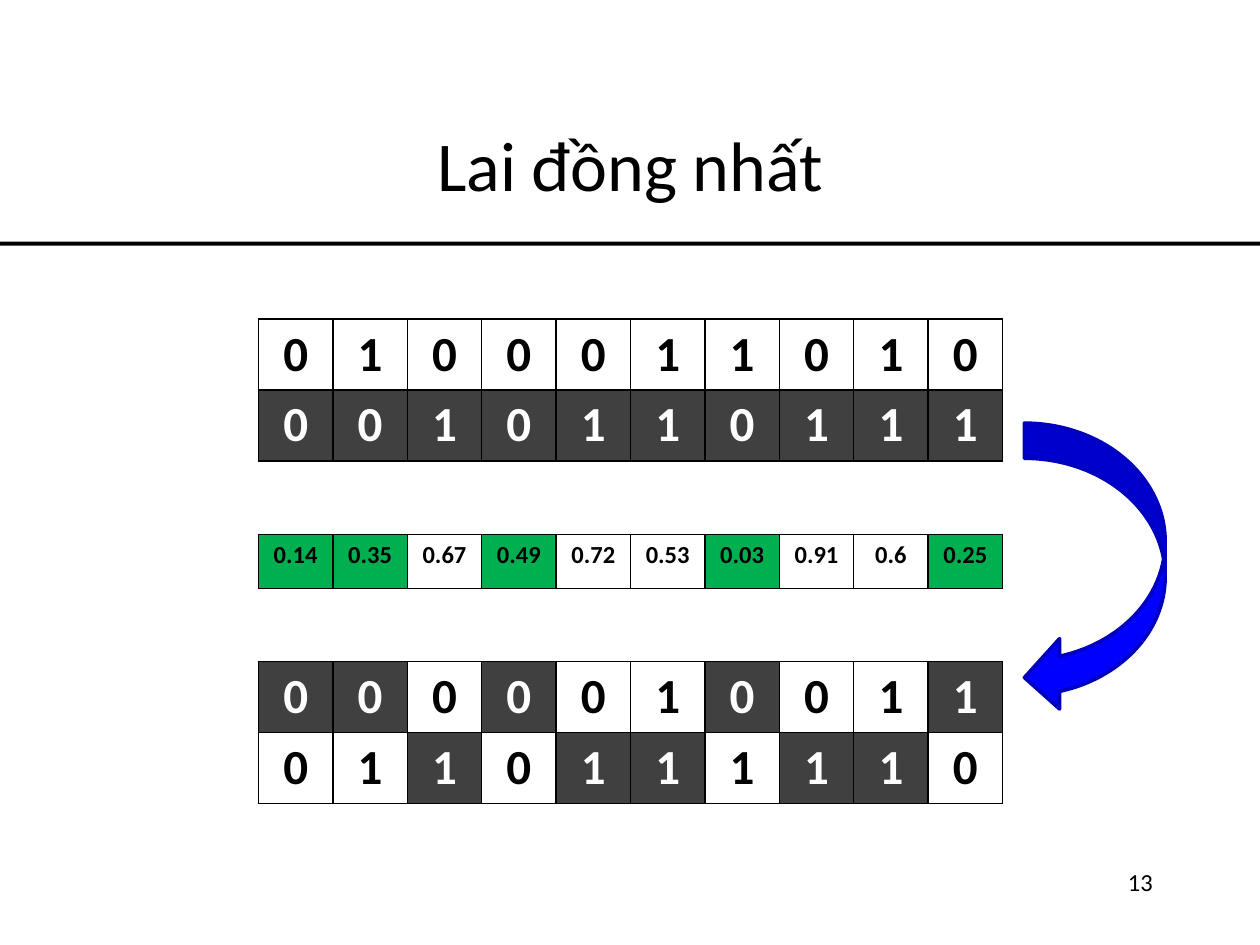
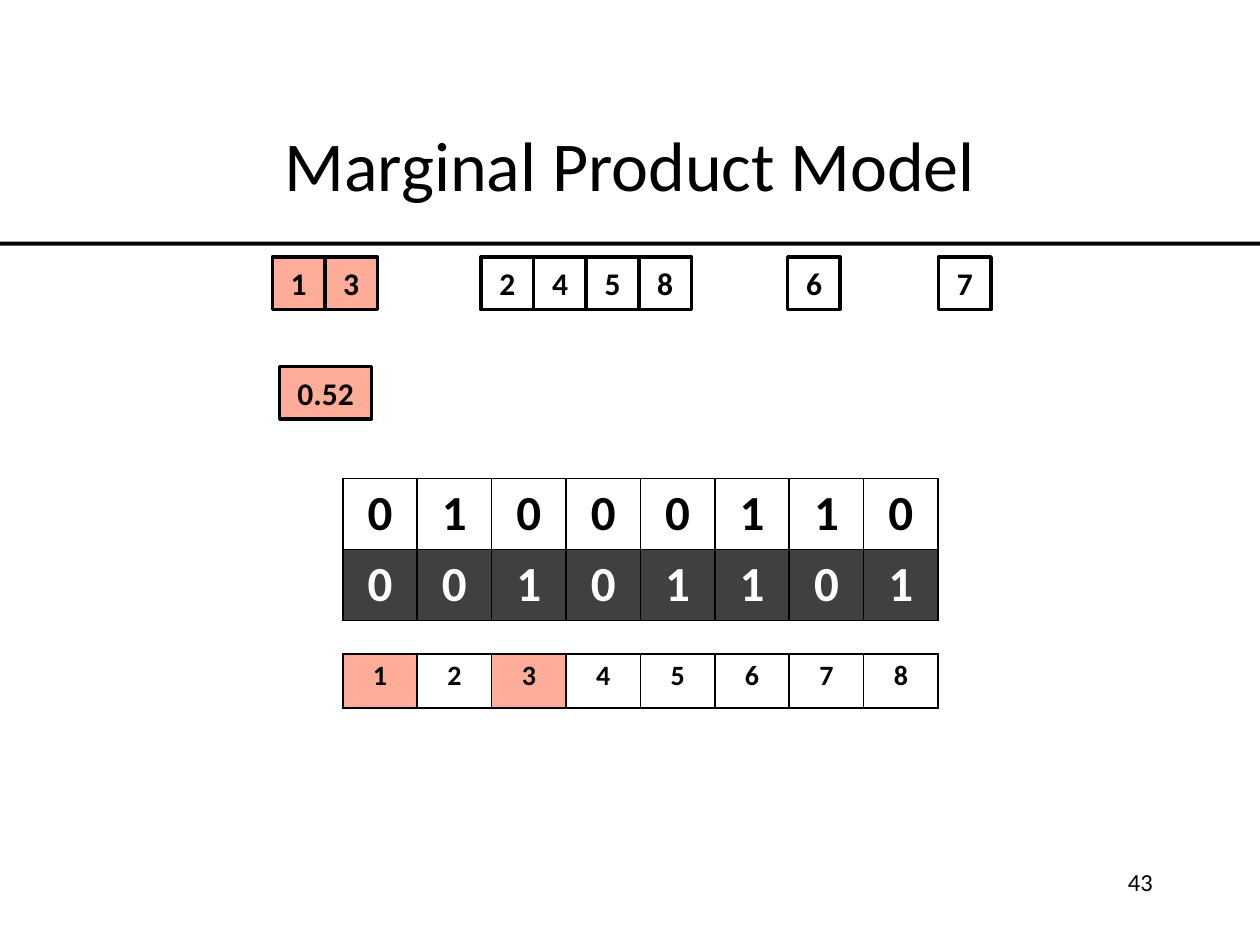
from lxml.etree import SubElement
from pptx import Presentation
from pptx.dml.color import RGBColor
from pptx.enum.shapes import MSO_SHAPE
from pptx.enum.text import MSO_ANCHOR, PP_ALIGN
from pptx.oxml.ns import qn
from pptx.util import Cm, Pt

COLORS = {
    "black": "000000",
    "white": "FFFFFF",
    "dark": "404040",
    "green": "00B050",
    "salmon": "FFAD99",
    "blue": "0000FF",
    "navy": "0000BD",
}
FONT = "Calibri"
GENE_WIDTH = 1.5
BIT_HEIGHT = 1.43
LABEL_HEIGHT = 1.09
SQUARE = 1.06


def rgb(name):
    return RGBColor.from_string(COLORS[name])


def paint(fill, color):
    """Fill with a named colour, or leave empty for None."""
    if color is None:
        fill.background()
    else:
        fill.solid()
        fill.fore_color.rgb = rgb(color)


def write(frame, text, size=18, color="black", bold=False,
          align=PP_ALIGN.CENTER, anchor=None):
    frame.word_wrap = True
    if anchor is not None:
        frame.vertical_anchor = anchor
    paragraph = frame.paragraphs[0]
    paragraph.alignment = align
    run = paragraph.add_run()
    run.text = text
    run.font.name = FONT
    run.font.size = Pt(size)
    run.font.bold = bold
    run.font.color.rgb = rgb(color)


class Deck:
    """Shared style and the slide being built."""

    def __init__(self):
        self.presentation = Presentation()
        self.presentation.slide_width = Cm(25.4)
        self.presentation.slide_height = Cm(19.05)
        self.slide = None

    def start_slide(self, title, number):
        blank = self.presentation.slide_layouts[6]
        self.slide = self.presentation.slides.add_slide(blank)
        # Rule below the title
        rule = self.shape(MSO_SHAPE.PENTAGON, -1.5, 4.87, 26.9, 0.08, "black")
        rule.rotation = 180
        rule.adjustments[0] = 0.06
        # Title and slide number
        self.text(title, 1.9, 1.7, 21.6, 3.18, size=40, anchor=MSO_ANCHOR.MIDDLE)
        self.text(str(number), 18.21, 17.35, 5.28, 1.27, size=14,
                  align=PP_ALIGN.RIGHT)

    def text(self, text, left, top, width, height, **style):
        box = self.slide.shapes.add_textbox(Cm(left), Cm(top), Cm(width), Cm(height))
        write(box.text_frame, text, **style)

    def shape(self, kind, left, top, width, height, fill=None, line=None):
        shape = self.slide.shapes.add_shape(
            kind, Cm(left), Cm(top), Cm(width), Cm(height))
        shape.shadow.inherit = False
        paint(shape.fill, fill)
        paint(shape.line.fill, line)
        if line:
            shape.line.width = Pt(2)
        return shape

    def square(self, text, left, top, width=SQUARE, fill=None):
        square = self.shape(MSO_SHAPE.RECTANGLE, left, top, width, SQUARE,
                            fill, "black")
        frame = square.text_frame
        frame.margin_left = frame.margin_right = 0
        write(frame, text, bold=True, anchor=MSO_ANCHOR.MIDDLE)

    def gene_table(self, rows, left, top, row_height, size):
        """Each row is a list of (text, fill) pairs."""
        columns = len(rows[0])
        table = self.slide.shapes.add_table(
            len(rows), columns, Cm(left), Cm(top),
            Cm(columns * GENE_WIDTH), Cm(len(rows) * row_height)).table
        table.first_row = table.horz_banding = False
        for column in table.columns:
            column.width = Cm(GENE_WIDTH)
        for r, row in enumerate(rows):
            table.rows[r].height = Cm(row_height)
            for c, (text, fill) in enumerate(row):
                self.gene(table.cell(r, c), text, fill, size)

    def gene(self, cell, text, fill, size):
        cell.margin_left = cell.margin_right = Cm(0.23)
        cell.margin_top = cell.margin_bottom = Cm(0.11)
        properties = cell._tc.get_or_add_tcPr()
        for side in ("a:lnL", "a:lnR", "a:lnT", "a:lnB"):
            border = SubElement(properties, qn(side), w=str(Pt(1)))
            solid = SubElement(border, qn("a:solidFill"))
            SubElement(solid, qn("a:srgbClr"), val=COLORS["black"])
        paint(cell.fill, fill)
        write(cell.text_frame, text, size=size, bold=True,
              color="white" if fill == "dark" else "black")


def parents(first, second):
    """The first parent is light, the second dark."""
    return [[(bit, None) for bit in first], [(bit, "dark") for bit in second]]


def build_uniform_crossover(deck):
    deck.start_slide("Lai đồng nhất", 13)
    left = 5.21

    # Parents
    pair = parents("0100011010", "0010110111")
    deck.gene_table(pair, left, 6.43, BIT_HEIGHT, 28)

    # Genes are swapped where the draw is below one half
    draws = [0.14, 0.35, 0.67, 0.49, 0.72, 0.53, 0.03, 0.91, 0.6, 0.25]
    swaps = [draw < 0.5 for draw in draws]
    children = [
        [second if swap else first for first, second, swap in zip(*pair, swaps)],
        [first if swap else second for first, second, swap in zip(*pair, swaps)],
    ]
    deck.gene_table(children, left, 13.34, BIT_HEIGHT, 28)

    # Random draws
    mask = [(str(draw), "green" if swap else None)
            for draw, swap in zip(draws, swaps)]
    deck.gene_table([mask], left, 10.77, LABEL_HEIGHT, 14)

    # Arrow from parents to children
    deck.shape(MSO_SHAPE.CURVED_LEFT_ARROW, 20.65, 8.53, 2.84, 5.84,
               "blue", "navy")


def build_marginal_product_model(deck):
    deck.start_slide("Marginal Product Model", 43)
    left = 6.91
    chosen = "13"

    # Groups of linked genes
    groups = {chosen: 5.49, "2458": 9.7, "6": 15.88, "7": 18.92}
    for genes, group_left in groups.items():
        for i, gene in enumerate(genes):
            deck.square(gene, group_left + i * SQUARE, 5.18,
                        fill="salmon" if genes == chosen else None)

    # Draw for the chosen group
    deck.square("0.52", 5.64, 7.39, width=1.85, fill="salmon")

    # Parents and gene positions
    deck.gene_table(parents("01000110", "00101101"), left, 9.65, BIT_HEIGHT, 28)
    positions = [(gene, "salmon" if gene in chosen else None)
                 for gene in "12345678"]
    deck.gene_table([positions], left, 13.18, LABEL_HEIGHT, 16)


def main():
    deck = Deck()
    build_uniform_crossover(deck)
    build_marginal_product_model(deck)
    deck.presentation.save("out.pptx")


if __name__ == "__main__":
    main()
